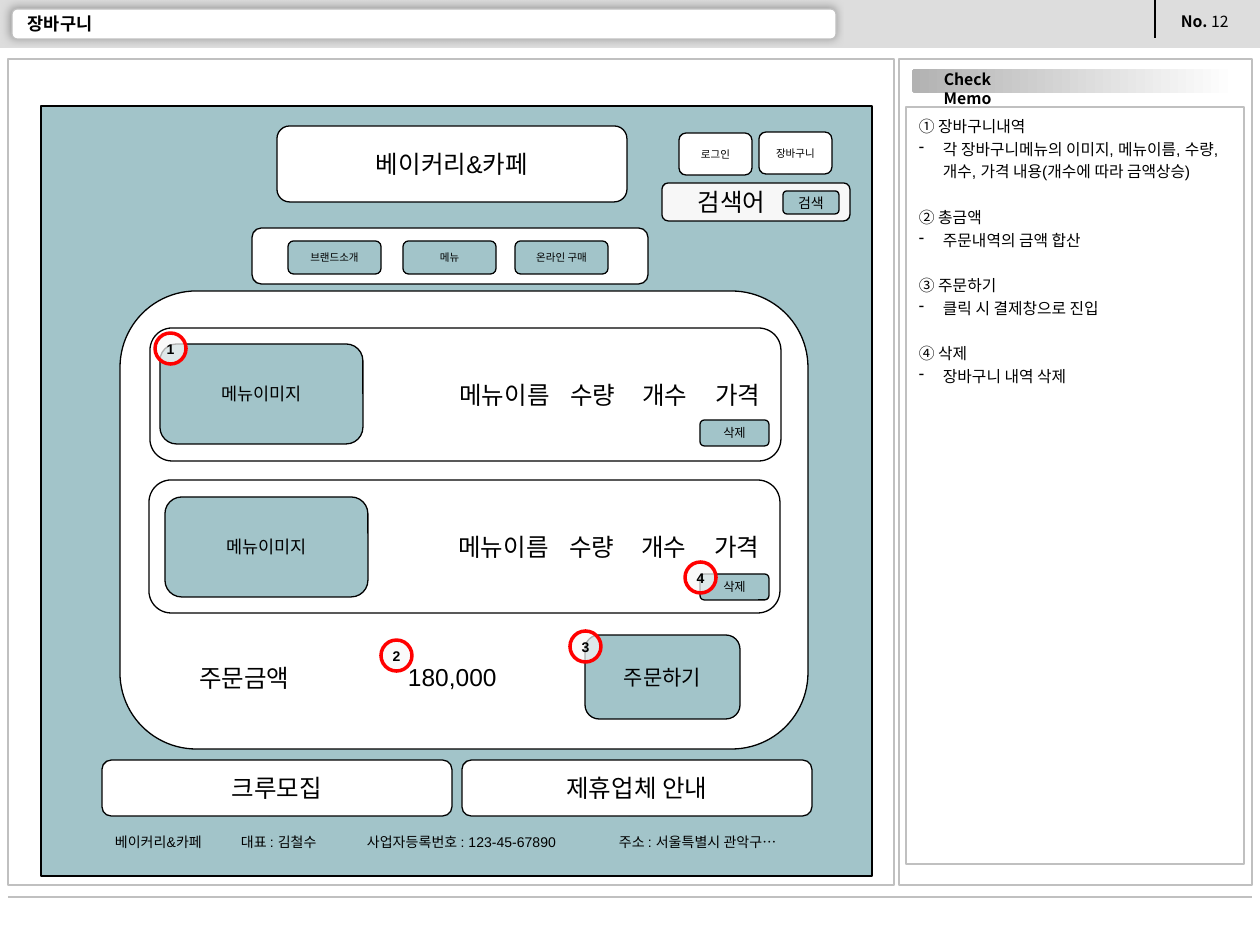
from lxml import etree
from pptx import Presentation
from pptx import util as u
from pptx.dml.color import RGBColor
from pptx.enum import shapes, text
from pptx.oxml.ns import qn

PX = 914400 / 126
INSET = 13
COLORS = {
    "black": "000000", "white": "FFFFFF", "header": "DDDDDD", "border": "C0C0C0",
    "shadow": "989898", "tag": "B2B2B2", "teal": "A2C4C9", "search": "F7F7F7",
    "marker": "F8F8F8", "red": "FF0000",
}
RECT = shapes.MSO_SHAPE.RECTANGLE
ROUND = shapes.MSO_SHAPE.ROUNDED_RECTANGLE
OVAL = shapes.MSO_SHAPE.OVAL
LEFT, CENTER = text.PP_ALIGN.LEFT, text.PP_ALIGN.CENTER
TOP, MIDDLE = text.MSO_ANCHOR.TOP, text.MSO_ANCHOR.MIDDLE

MEMO = [
    ("① 장바구니내역",
     "각 장바구니메뉴의 이미지, 메뉴이름, 수량, 개수, 가격 내용(개수에 따라 금액상승)"),
    ("② 총금액", "주문내역의 금액 합산"),
    ("③ 주문하기", "클릭 시 결제창으로 진입"),
    ("④ 삭제", "장바구니 내역 삭제"),
]


def px(n):
    return u.Emu(round(n * PX))


def rgb(name):
    return RGBColor.from_string(COLORS[name])


def add_xml(parent, tag, **attrs):
    return etree.SubElement(parent, qn(tag), {k: str(v) for k, v in attrs.items()})


def set_font(font, size, bold=False, name="Arial"):
    font.name, font.size, font.bold = name, u.Pt(size), bold
    font.color.rgb = rgb("black")


def set_frame(tf, anchor=MIDDLE, sides=INSET, ends=INSET):
    tf.word_wrap = True
    tf.vertical_anchor = anchor
    tf.margin_left = tf.margin_right = px(sides)
    tf.margin_top = tf.margin_bottom = px(ends)


def write(p, content, size, align=CENTER, bold=False, name="Arial", tabs=()):
    p.text = content
    p.alignment = align
    if tabs:
        stops = add_xml(p._p.get_or_add_pPr(), "a:tabLst")
        for pos in tabs:
            add_xml(stops, "a:tab", pos=px(pos), algn="l")
    set_font(p.font, size, bold, name)


def add_box(slide, kind, box, fill, line="black", width=0.75):
    sp = slide.shapes.add_shape(kind, *map(px, box))
    sp.shadow.inherit = False
    if fill:
        sp.fill.solid()
        sp.fill.fore_color.rgb = rgb(fill)
    if line:
        sp.line.color.rgb = rgb(line)
        sp.line.width = u.Pt(width)
    else:
        sp.line.fill.background()
    return sp


def add_button(slide, box, fill, label="", size=14, **style):
    sp = add_box(slide, ROUND, box, fill)
    set_frame(sp.text_frame)
    if label:
        write(sp.text_frame.paragraphs[0], label, size, **style)
    return sp


def add_label(slide, box, content, size, anchor=TOP, align=LEFT, **style):
    tf = slide.shapes.add_textbox(*map(px, box)).text_frame
    set_frame(tf, anchor, ends=6)
    write(tf.paragraphs[0], content, size, align, **style)
    return tf


def add_line(slide, x1, y1, x2, y2, color, width):
    ln = slide.shapes.add_connector(shapes.MSO_CONNECTOR.STRAIGHT, *map(px, (x1, y1, x2, y2)))
    ln.line.color.rgb = rgb(color)
    ln.line.width = u.Pt(width)
    add_xml(ln._element.spPr, "a:effectLst")


def add_marker(slide, x, y, number):
    sp = add_box(slide, OVAL, (x, y, 31, 31), "marker", "red", 2)
    color = sp._element.spPr.find(qn("a:solidFill"))[0]
    add_xml(color, "a:alpha", val=70000)
    set_frame(sp.text_frame, sides=5, ends=6)
    write(sp.text_frame.paragraphs[0], str(number), 8, bold=True)


def add_header(slide):
    add_box(slide, RECT, (0, 0, 1260, 48), "header", None)
    add_line(slide, 1155, 0, 1155, 38, "black", 0.75)
    tf = add_label(slide, (1168, 6, 78, 32), "No. ", 9, name="Noto Sans CJK KR")
    p = tf.paragraphs[0]
    p.runs[0].font.bold = True
    p.add_run().text = "12"
    bar = add_box(slide, ROUND, (12, 9, 824, 30), "white", "border")
    effects = bar._element.spPr.find(qn("a:effectLst"))
    shadow = add_xml(effects, "a:outerShdw", blurRad=u.Pt(5), dist=u.Pt(1.4),
                     dir=225 * 60000, algn="ctr", rotWithShape=0)
    add_xml(shadow, "a:srgbClr", val=COLORS["shadow"])
    add_label(slide, (15, 12, 683, 23), "장바구니", 10, MIDDLE, bold=True)


def add_frames(slide):
    add_line(slide, 8, 897, 1252, 897, "border", 1.5)
    add_box(slide, RECT, (899, 59, 353, 826), "white", "border")
    add_box(slide, RECT, (8, 59, 886, 826), "white", "border")


def add_memo(slide):
    # Fading tag with its caption
    tag = add_box(slide, ROUND, (912, 69, 324, 24), None, None)
    tag.fill.gradient()
    tag.fill.gradient_angle = 180
    for stop, color in zip(tag.fill.gradient_stops, ("white", "tag")):
        stop.color.rgb = rgb(color)
    add_label(slide, (907, 64, 121, 32), "Check Memo", 9, align=CENTER,
              bold=True, name="Noto Sans CJK KR")

    # Numbered notes, each with one dashed item
    tf = add_box(slide, RECT, (906, 107, 338, 757), "white", "border").text_frame
    set_frame(tf, TOP, ends=6)
    for i, (heading, detail) in enumerate(MEMO):
        p = tf.add_paragraph() if i else tf.paragraphs[0]
        p.line_spacing = 1.2
        if i:
            p.space_before = u.Pt(13)
        write(p, heading, 9, LEFT)
        p = tf.add_paragraph()
        p.line_spacing = 1.2
        pPr = p._p.get_or_add_pPr()
        pPr.set("marL", str(px(24)))
        pPr.set("indent", str(-px(24)))
        add_xml(add_xml(pPr, "a:buClr"), "a:srgbClr", val=COLORS["black"])
        add_xml(pPr, "a:buChar", char="-")
        write(p, detail, 9, LEFT)


def add_site(slide):
    add_box(slide, RECT, (41, 106, 831, 770), "teal")
    # Site header
    add_button(slide, (277, 126, 350, 76), "white", "베이커리&카페")
    add_button(slide, (679, 133, 73, 42), "white", "로그인", 6)
    add_button(slide, (759, 132, 73, 42), "white", "장바구니", 6)
    search = add_button(slide, (662, 183, 188, 38), "search", "검색어", align=LEFT)
    search.text_frame.margin_left = px(34)
    add_button(slide, (783, 191, 56, 23), "teal", "검색", 8)
    # Navigation
    add_button(slide, (252, 228, 396, 56), "white")
    for x, label in ((288, "브랜드소개"), (403, "메뉴"), (515, "온라인 구매")):
        add_button(slide, (x, 241, 93, 33), "teal", label, 6)
    # Site footer
    for x, label in ((102, "크루모집"), (462, "제휴업체 안내")):
        add_button(slide, (x, 760, 350, 56), "white", label)
    company = "베이커리&카페\t대표 : 김철수\t사업자등록번호 : 123-45-67890\t주소 : 서울특별시 관악구…"
    add_label(slide, (102, 828, 706, 30), company, 8, tabs=(126, 252, 504))


def add_cart(slide):
    add_button(slide, (120, 291, 688, 458), "white")
    # Ordered items: card left, card top, image left, image top, delete top
    for x, y, image_x, image_y, delete_y in ((150, 328, 160, 344, 420),
                                            (149, 480, 165, 497, 574)):
        add_button(slide, (x, y, 631, 133), "white", "\t메뉴이름\t수량\t개수\t가격",
                   align=LEFT, tabs=(290, 401, 473, 546))
        add_button(slide, (image_x, image_y, 203, 100), "teal", "메뉴이미지", 10)
        add_button(slide, (700, delete_y, 69, 26), "teal", "삭제", 7)
    # Total and order button
    add_label(slide, (186, 657, 131, 43), "주문금액", 14)
    add_label(slide, (395, 656, 115, 43), "180,000", 14)
    add_button(slide, (585, 635, 155, 84), "teal", "주문하기", 12)


def main():
    prs = Presentation()
    prs.slide_width, prs.slide_height = px(1260), px(945)
    slide = prs.slides.add_slide(prs.slide_layouts[6])
    add_header(slide)
    add_frames(slide)
    add_memo(slide)
    add_site(slide)
    add_cart(slide)
    # Callouts matching the memo numbers
    for number, x, y in ((1, 155, 333), (2, 381, 640), (3, 570, 631), (4, 685, 562)):
        add_marker(slide, x, y, number)
    prs.save("out.pptx")


if __name__ == "__main__":
    main()
